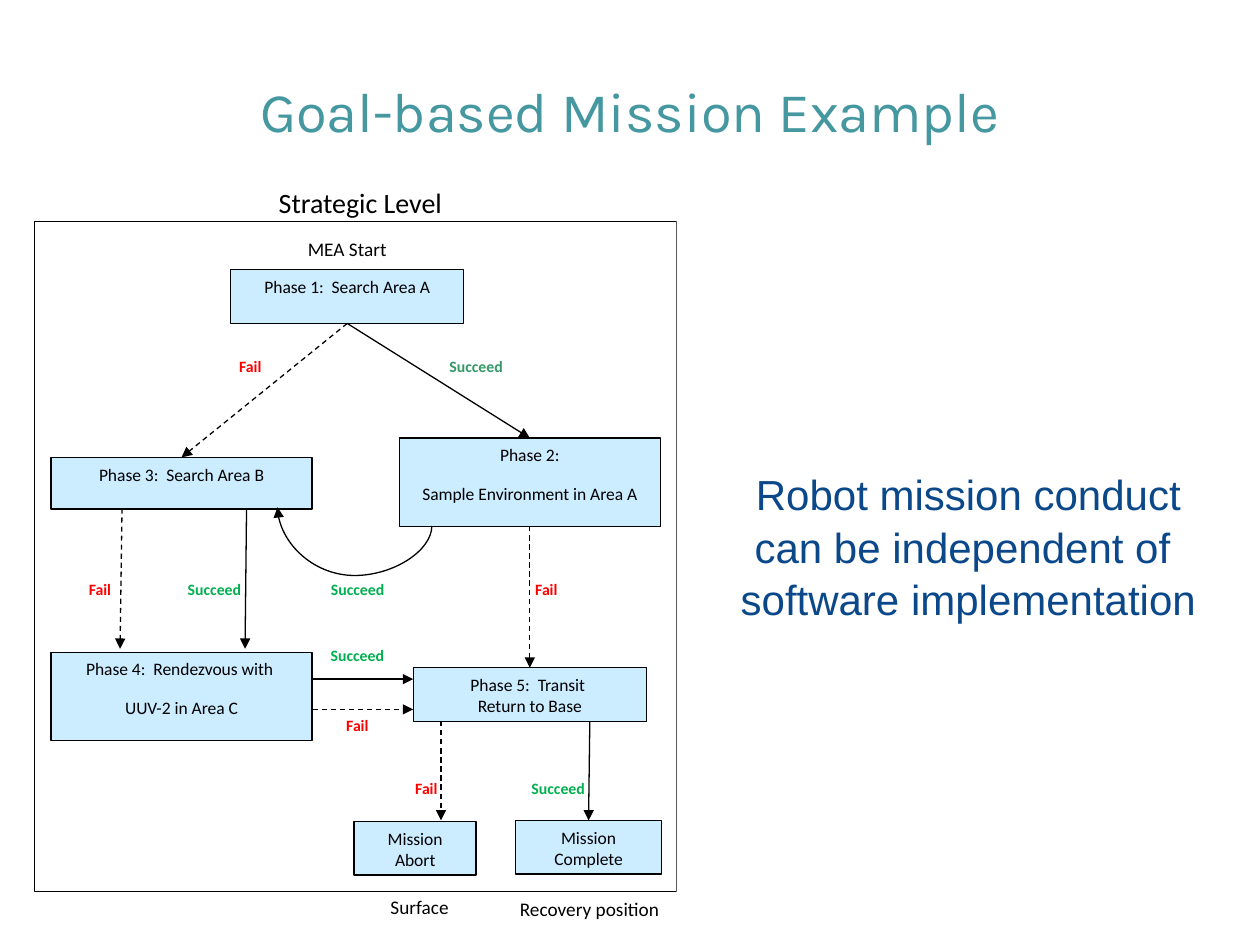
from dataclasses import dataclass
from typing import Optional

from lxml import etree
from pptx import Presentation
from pptx import util as u
from pptx.dml import color
from pptx.enum import dml, shapes, text
from pptx.oxml import ns

COLORS = {
    "black": "000000", "white": "FFFFFF", "box": "CCECFF", "fail": "FF0000",
    "succeed": "00B050", "pine": "339966", "title": "4597A0", "message": "0B488A",
}
ALIGN = {"l": text.PP_ALIGN.LEFT, "c": text.PP_ALIGN.CENTER, "r": text.PP_ALIGN.RIGHT}
TOP, LEFT, BOTTOM, RIGHT = range(4)
LABEL_H = 0.94


@dataclass
class Box:
    name: str
    lines: list[str]
    x: float
    y: float
    w: float
    h: float
    after: int = 10


@dataclass
class Label:
    text: str
    x: float
    y: float
    w: float
    align: str = "c"
    color: str = "black"
    size: int = 9
    bold: bool = False


@dataclass
class Arrow:
    start: tuple[float, float]
    end: tuple[float, float]
    dashed: bool = False
    begin_box: Optional[str] = None
    end_box: Optional[str] = None


BOXES = [
    Box("phase1", ["Phase 1:  Search Area A"], 4.65, 5.44, 4.7, 1.08),
    Box("phase2", ["Phase 2:", "Sample Environment in Area A"], 8.05, 8.83, 5.26, 1.78),
    Box("phase3", ["Phase 3:  Search Area B"], 1.03, 9.22, 5.26, 1.04),
    Box("phase4", ["Phase 4:  Rendezvous with ", "UUV-2 in Area C"], 1.03, 13.15, 5.26, 1.78),
    Box("phase5", ["Phase 5:  Transit ", "Return to Base"], 8.33, 13.46, 4.7, 1.08, 0),
    Box("abort", ["Mission Abort"], 7.14, 16.56, 2.46, 1.08),
    Box("complete", ["Mission Complete"], 10.39, 16.54, 2.95, 1.08),
]

ARROWS = [
    Arrow((7, 6.52), (10.68, 8.83), begin_box="phase1", end_box="phase2"),
    Arrow((7, 6.52), (3.66, 9.22), True, "phase1", "phase3"),
    Arrow((4.97, 10.25), (4.94, 13.08)),
    Arrow((2.46, 10.25), (2.42, 13.08), True),
    Arrow((6.31, 13.69), (8.33, 13.69)),
    Arrow((6.31, 14.3), (8.33, 14.3), True),
    Arrow((10.68, 10.61), (10.68, 13.46), True, "phase2", "phase5"),
    Arrow((11.89, 14.54), (11.87, 16.54), end_box="complete"),
    Arrow((8.89, 14.54), (8.89, 16.54), True),
]

OUTCOMES = [
    ("Succeed", 8.81, 7.06, 2.57, "l", "pine"),
    ("Fail", 3.84, 7.06, 1.68, "r", "fail"),
    ("Fail", 10.54, 11.56, 1.73, "l", "fail"),
    ("Fail", 0.84, 11.56, 1.65, "r", "fail"),
    ("Succeed", 2.54, 11.56, 2.57, "r", "succeed"),
    ("Succeed", 6.17, 11.56, 2.08, "c", "succeed"),
    ("Succeed", 5.92, 12.9, 2.57, "c", "succeed"),
    ("Fail", 5.92, 14.3, 2.57, "c", "fail"),
    ("Succeed", 9.47, 15.57, 2.57, "r", "succeed"),
    ("Fail", 7.42, 15.57, 1.65, "r", "fail"),
]
LABELS = [Label(*outcome, bold=True) for outcome in OUTCOMES] + [
    Label("MEA Start", 4.7, 4.65, 4.6, size=11),
    Label("Strategic Level", 3.33, 3.61, 7.87, size=16),
    Label("Surface", 7.42, 17.93, 2.08, size=11),
    Label("Recovery position", 10.16, 17.96, 3.45, size=11),
]


def rgb(name: str) -> color.RGBColor:
    return color.RGBColor.from_string(COLORS[name])


def write(tf, lines: list[str], ink: str, para: dict, font: dict) -> None:
    tf.word_wrap = True
    for i, content in enumerate(lines):
        p = tf.paragraphs[0] if i == 0 else tf.add_paragraph()
        r = p.add_run()
        r.text = content
        for key, value in para.items():
            setattr(p, key, value)
        for key, value in font.items():
            setattr(r.font, key, value)
        r.font.color.rgb = rgb(ink)


def draw_rect(s, x: float, y: float, w: float, h: float, fill: str, outlined: bool = True):
    sp = s.shapes.add_shape(shapes.MSO_SHAPE.RECTANGLE, *map(u.Cm, (x, y, w, h)))
    sp.shadow.inherit = False
    sp.fill.solid()
    sp.fill.fore_color.rgb = rgb(fill)
    if outlined:
        sp.line.color.rgb = rgb("black")
        sp.line.width = u.Pt(0.75)
    else:
        sp.line.fill.background()
    return sp


def draw_box(s, box: Box):
    sp = draw_rect(s, box.x, box.y, box.w, box.h, "box")
    sp.text_frame.vertical_anchor = text.MSO_ANCHOR.TOP
    write(sp.text_frame, box.lines, "black",
          {"alignment": ALIGN["c"], "space_after": u.Pt(box.after)},
          {"name": "Calibri", "size": u.Pt(10)})
    return sp


def draw_label(s, label: Label) -> None:
    sp = s.shapes.add_textbox(*map(u.Cm, (label.x, label.y, label.w, LABEL_H)))
    write(sp.text_frame, [label.text], label.color,
          {"alignment": ALIGN[label.align], "space_after": u.Pt(10)},
          {"name": "Calibri", "size": u.Pt(label.size), "bold": label.bold})


def draw_arrow(s, arrow: Arrow, boxes: dict, kind=shapes.MSO_CONNECTOR.STRAIGHT):
    cxn = s.shapes.add_connector(kind, *map(u.Cm, arrow.start + arrow.end))
    if arrow.begin_box:
        cxn.begin_connect(boxes[arrow.begin_box], BOTTOM)
    if arrow.end_box:
        cxn.end_connect(boxes[arrow.end_box], TOP)
    cxn.line.color.rgb = rgb("black")
    cxn.line.width = u.Pt(0.75)
    if arrow.dashed:
        cxn.line.dash_style = dml.MSO_LINE.DASH
    ln = cxn._element.spPr.find(ns.qn("a:ln"))
    etree.SubElement(ln, ns.qn("a:tailEnd"), type="triangle")
    etree.SubElement(cxn._element.spPr, ns.qn("a:effectLst"))
    return cxn


def draw_return_curve(s) -> None:
    cxn = draw_arrow(s, Arrow((6.96, 11.97), (7.34, 8.86)), {}, shapes.MSO_CONNECTOR.CURVE)
    spPr = cxn._element.spPr
    spPr.find(ns.qn("a:xfrm")).set("rot", str(270 * 60000))
    geom = spPr.find(ns.qn("a:prstGeom"))
    guides = geom.find(ns.qn("a:avLst"))
    if guides is None:
        guides = etree.SubElement(geom, ns.qn("a:avLst"))
    etree.SubElement(guides, ns.qn("a:gd"), name="adj1", fmla="val -262800")


def main() -> None:
    prs = Presentation()
    prs.slide_width, prs.slide_height = u.Cm(25.4), u.Cm(19.05)
    s = prs.slides.add_slide(prs.slide_layouts[5])

    title = s.shapes.title
    title.left, title.top, title.width, title.height = map(u.Cm, (0.64, 0.64, 24.13, 3.18))
    title.text_frame.vertical_anchor = text.MSO_ANCHOR.MIDDLE
    write(title.text_frame, ["Goal-based Mission Example"], "title",
          {"alignment": ALIGN["c"]}, {"name": "Karla", "size": u.Pt(32)})

    draw_rect(s, 0.69, 4.47, 12.95, 13.51, "white")
    boxes = {box.name: draw_box(s, box) for box in BOXES}
    for arrow in ARROWS:
        draw_arrow(s, arrow, boxes)
    draw_return_curve(s)
    for label in LABELS:
        draw_label(s, label)

    panel = draw_rect(s, 13.64, 3.18, 11.76, 15.87, "white", outlined=False)
    panel.text_frame.margin_bottom = u.Cm(0.38)
    panel.text_frame.vertical_anchor = text.MSO_ANCHOR.MIDDLE
    write(panel.text_frame,
          ["Robot mission conduct", "can be independent of ", "software implementation"],
          "message", {"alignment": ALIGN["c"], "line_spacing": 1.05},
          {"name": "Arial", "size": u.Pt(24)})
    prs.save("out.pptx")


if __name__ == "__main__":
    main()
